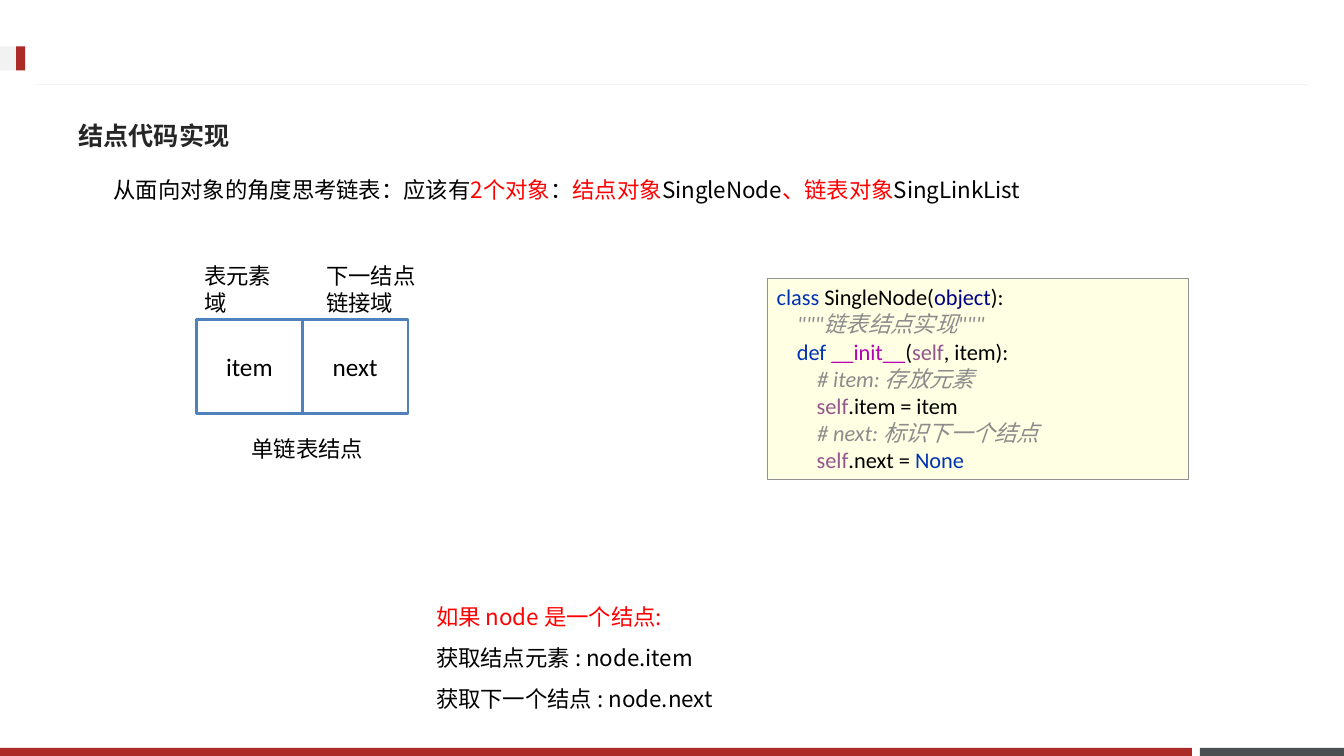
"""Builds the slide on implementing a singly linked list node."""
from dataclasses import dataclass

from lxml import etree
from pptx import Presentation
from pptx import util as u
from pptx.dml.color import RGBColor
from pptx.enum import shapes, text
from pptx.oxml.ns import qn


@dataclass(frozen=True)
class Theme:
    black: str = "000000"
    white: str = "FFFFFF"
    red: str = "FF0000"
    title: str = "262626"
    brand: str = "AD2B26"
    slate: str = "49504F"
    pale: str = "F2F2F2"
    node: str = "4F81BD"
    paper: str = "FFFFE4"
    edge: str = "919191"
    keyword: str = "0033B3"
    builtin: str = "000080"
    comment: str = "8C8C8C"
    magic: str = "B200B2"
    this: str = "94558D"
    latin: str = "Calibri"
    cjk: str = "Noto Sans CJK SC"
    heading: str = "Noto Sans CJK JP"
    body_pt: int = 16
    large_pt: int = 18
    single_pt: float = 19.4
    loose_pt: float = 29.2


T = Theme()
WIDTH, HEIGHT = 13.34, 7.5

BARS = [
    ((89.28, 98.93, 10.72, 1.07), T.slate),
    ((0, 98.93, 88.68, 1.07), T.brand),
    ((0, 6.13, 1.87, 3.2), T.pale),
    ((1.2, 6.13, 0.67, 3.2), T.brand),
]
RULE = (97.3, 11.2, 2.62, 11.2)
FIELDS = ["item", "next"]
FIELD_BOX = (14.62, 42.27, 7.87, 12.4)
HEADING = ((5.1, 14.13, 88.16, 7.6), "结点代码实现")
TEXTS = [
    ((14.47, 34, 6.6, 8.53), T.single_pt, [[("表元素", T.black)], [("域", T.black)]]),
    ((23.54, 34, 8.25, 8.53), T.single_pt, [[("下一结点", T.black)], [("链接域", T.black)]]),
    ((17.99, 56.8, 9.9, 4.93), T.single_pt, [[("单链表结点", T.black)]]),
    ((31.71, 77.33, 23.69, 16.93), T.loose_pt, [
        [("如果 node 是一个结点:", T.red)],
        [("获取结点元素 : node.item", T.black)],
        [("获取下一个结点 : node.next", T.black)],
    ]),
    ((7.72, 20.8, 70.24, 6.13), T.loose_pt, [[
        ("从面向对象的角度思考链表：应该有", T.black), ("2个对象", T.red),
        ("：", T.black), ("结点对象", T.red), ("SingleNode", T.black),
        ("、链表对象", T.red), ("SingLinkList", T.black),
    ]]),
]
CODE_BOX = (57.05, 36.8, 31.33, 26.53)
CODE = [
    [("class ", T.keyword), ("SingleNode(", T.black), ("object", T.builtin), ("):", T.black)],
    [("    ", T.black), ('"""链表结点实现"""', T.comment)],
    [("    ", T.comment), ("def ", T.keyword), ("__init__", T.magic), ("(", T.black),
     ("self", T.this), (", item):", T.black)],
    [("        ", T.black), ("# item: 存放元素", T.comment)],
    [("        ", T.comment), ("self", T.this), (".item = item", T.black)],
    [("        ", T.black), ("# next: 标识下一个结点", T.comment)],
    [("        ", T.comment), ("self", T.this), (".next = ", T.black), ("None", T.keyword)],
]


def place(box):
    """Turns shares of the slide, in percent, into lengths."""
    return [u.Inches(v * side / 100) for v, side in zip(box, (WIDTH, HEIGHT) * 2)]


def add_run(p, words, color, font=T.cjk, size=T.body_pt, bold=False, italic=False):
    r = p.add_run()
    r.text = words
    r.font.name, r.font.size = font, u.Pt(size)
    r.font.bold, r.font.italic = bold, italic
    r.font.color.rgb = RGBColor.from_string(color)
    east = T.cjk if font == T.latin else font
    r.font._element.find(qn("a:latin")).addnext(
        etree.Element(qn("a:ea"), typeface=east))


def add_box(s, box, fill, line=None, width=0):
    sp = s.shapes.add_shape(shapes.MSO_SHAPE.RECTANGLE, *place(box))
    sp.shadow.inherit = False
    sp.fill.solid()
    sp.fill.fore_color.rgb = RGBColor.from_string(fill)
    if line:
        sp.line.color.rgb = RGBColor.from_string(line)
        sp.line.width = u.Pt(width)
    else:
        sp.line.fill.background()
    return sp


def add_text(s, box, anchor=text.MSO_ANCHOR.TOP):
    tf = s.shapes.add_textbox(*place(box)).text_frame
    tf.word_wrap = True
    tf.vertical_anchor = anchor
    return tf


def add_rule(s):
    line = s.shapes.add_connector(shapes.MSO_CONNECTOR.STRAIGHT, *place(RULE))
    line.line.color.rgb = RGBColor.from_string(T.pale)
    line.line.width = u.Pt(0.75)
    etree.SubElement(line._element.spPr, qn("a:effectLst"))


def add_fields(s):
    x, y, w, h = FIELD_BOX
    for i, name in enumerate(FIELDS):
        sp = add_box(s, (x + i * w, y, w, h), T.white, T.node, 2)
        sp.text_frame.vertical_anchor = text.MSO_ANCHOR.MIDDLE
        p = sp.text_frame.paragraphs[0]
        p.alignment = text.PP_ALIGN.CENTER
        add_run(p, name, T.black, T.latin, T.large_pt)


def add_code(s):
    tf = add_box(s, CODE_BOX, T.paper, T.edge, 0.25).text_frame
    tf.word_wrap = True
    tf.vertical_anchor = text.MSO_ANCHOR.TOP
    p = tf.paragraphs[0]
    p.alignment = text.PP_ALIGN.LEFT
    p.line_spacing = u.Pt(T.single_pt)
    for i, row in enumerate(CODE):
        if i:
            p.add_line_break()
        for words, color in row:
            add_run(p, words, color, T.latin, italic=color == T.comment)


def main():
    prs = Presentation()
    prs.slide_width, prs.slide_height = u.Inches(WIDTH), u.Inches(HEIGHT)
    s = prs.slides.add_slide(prs.slide_layouts[6])
    for box, fill in BARS:
        add_box(s, box, fill)
    add_rule(s)
    add_fields(s)
    for box, spacing, paragraphs in TEXTS:
        tf = add_text(s, box)
        for i, runs in enumerate(paragraphs):
            p = tf.add_paragraph() if i else tf.paragraphs[0]
            p.line_spacing = u.Pt(spacing)
            for words, color in runs:
                add_run(p, words, color)
    box, words = HEADING
    p = add_text(s, box, text.MSO_ANCHOR.MIDDLE).paragraphs[0]
    add_run(p, words, T.title, T.heading, T.large_pt, bold=True)
    add_code(s)
    prs.save("out.pptx")


if __name__ == "__main__":
    main()
